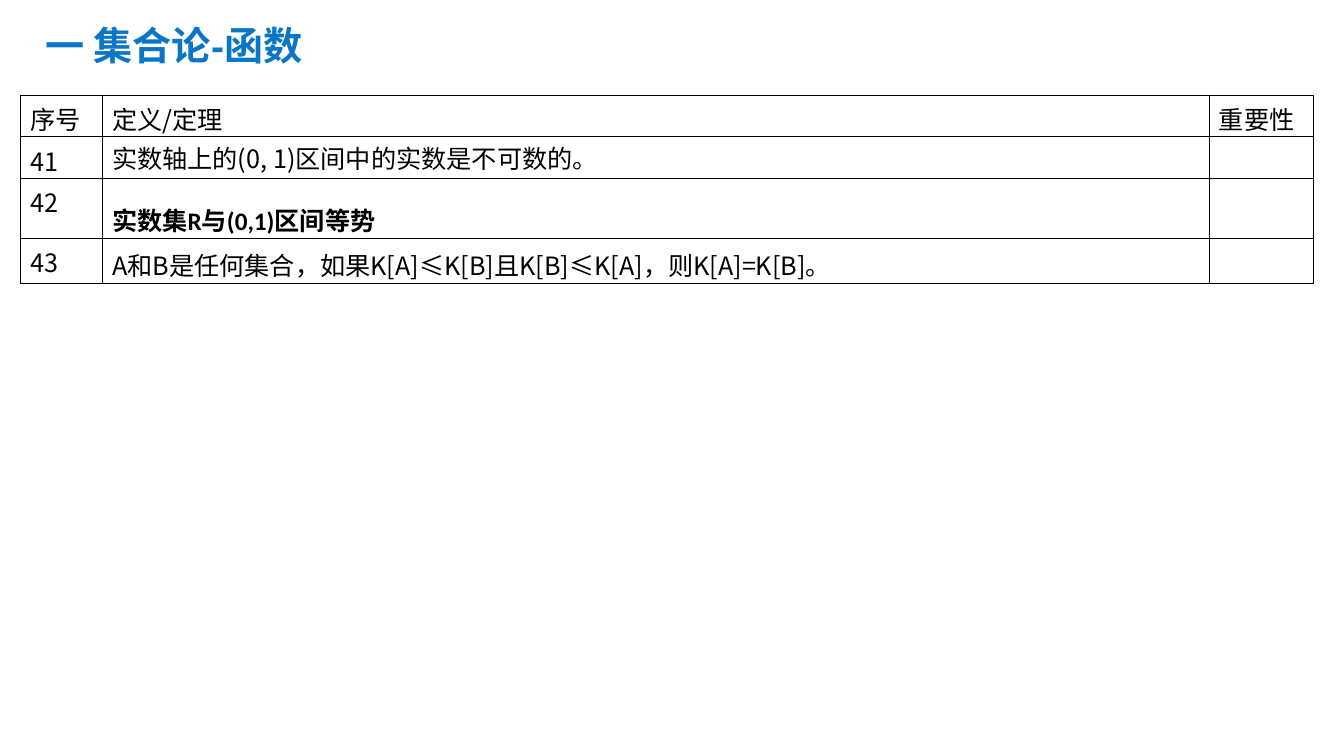
from pptx import Presentation
from pptx.dml.color import RGBColor
from pptx.enum.text import MSO_ANCHOR
from pptx.oxml import parse_xml
from pptx.oxml.ns import nsdecls
from pptx.util import Pt

MIDDLE = MSO_ANCHOR.MIDDLE
COLORS = {"title": "0B76C6", "ink": "000000"}
CJK = "Noto Sans CJK SC"
TITLE = {"name": "Arial", "size": Pt(28), "bold": True}
BODY = {"name": CJK, "size": Pt(18), "bold": False}
STRONG = {"name": "Calibri", "size": Pt(18), "bold": True}
COLUMNS = [58.5, 791, 74.5]
HEIGHTS = [29.3, 28.9, 39.9, 30.8]
HEADER = ["序号", "定义/定理", "重要性"]
THEOREMS = [
    ("41", "实数轴上的(0, 1)区间中的实数是不可数的。", 0.9, BODY),
    ("42", "实数集R与(0,1)区间等势", 1.5, STRONG),
    ("43", "A和B是任何集合，如果K[A]≤K[B]且K[B]≤K[A]，则K[A]=K[B]。", 1.1, BODY),
]


def write(tf, text, fmt, color, spacing=1.0):
    p = tf.paragraphs[0]
    p.line_spacing = spacing
    r = p.add_run()
    r.text = text
    for key, value in fmt.items():
        setattr(r.font, key, value)
    r.font.color.rgb = RGBColor.from_string(COLORS[color])
    r.font._element.append(parse_xml(f'<a:ea {nsdecls("a")} typeface="{CJK}"/>'))


def add_title(s, box):
    tf = s.shapes.add_textbox(*map(Pt, box)).text_frame
    tf.word_wrap, tf.vertical_anchor = True, MIDDLE
    write(tf, "一 集合论-函数", TITLE, "title", 0.9)


def format_cell(cell):
    cell.fill.background()
    cell.margin_top, cell.margin_bottom = Pt(3.6), Pt(0)
    tcPr = cell._tc.get_or_add_tcPr()
    for i, side in enumerate(("lnL", "lnR", "lnT", "lnB")):
        tcPr.insert(i, parse_xml(
            f'<a:{side} {nsdecls("a")} w="{Pt(0.45)}"><a:solidFill>'
            f'<a:srgbClr val="{COLORS["ink"]}"/></a:solidFill></a:{side}>'))


def add_theorems(s, box):
    table = s.shapes.add_table(len(HEIGHTS), len(COLUMNS), *map(Pt, box)).table
    table.first_row = table.horz_banding = False
    for column, width in zip(table.columns, COLUMNS):
        column.width = Pt(width)
    for row, height in zip(table.rows, HEIGHTS):
        row.height = Pt(height)
    for cell in table.iter_cells():
        format_cell(cell)
    for c, text in enumerate(HEADER):
        write(table.cell(0, c).text_frame, text, BODY, "ink")
    for i, (number, text, spacing, fmt) in enumerate(THEOREMS, 1):
        write(table.cell(i, 0).text_frame, number, BODY, "ink")
        write(table.cell(i, 1).text_frame, text, fmt, "ink", spacing)


def main():
    prs = Presentation()
    prs.slide_width, prs.slide_height = Pt(960.5), Pt(540)
    s = prs.slides.add_slide(prs.slide_layouts[6])
    add_theorems(s, (14.4, 68, sum(COLUMNS), sum(HEIGHTS)))
    add_title(s, (25.6, 15.1, 309.6, 38.2))
    prs.save("out.pptx")


if __name__ == "__main__":
    main()
